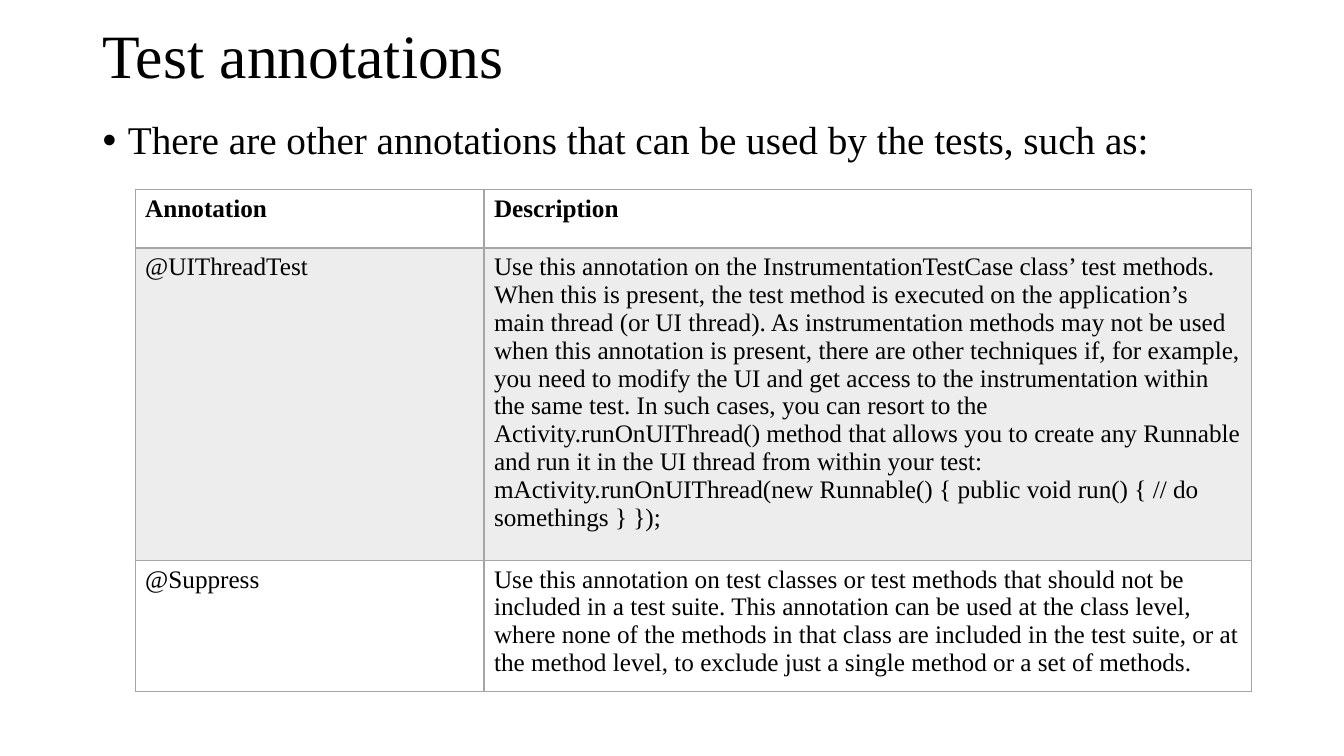
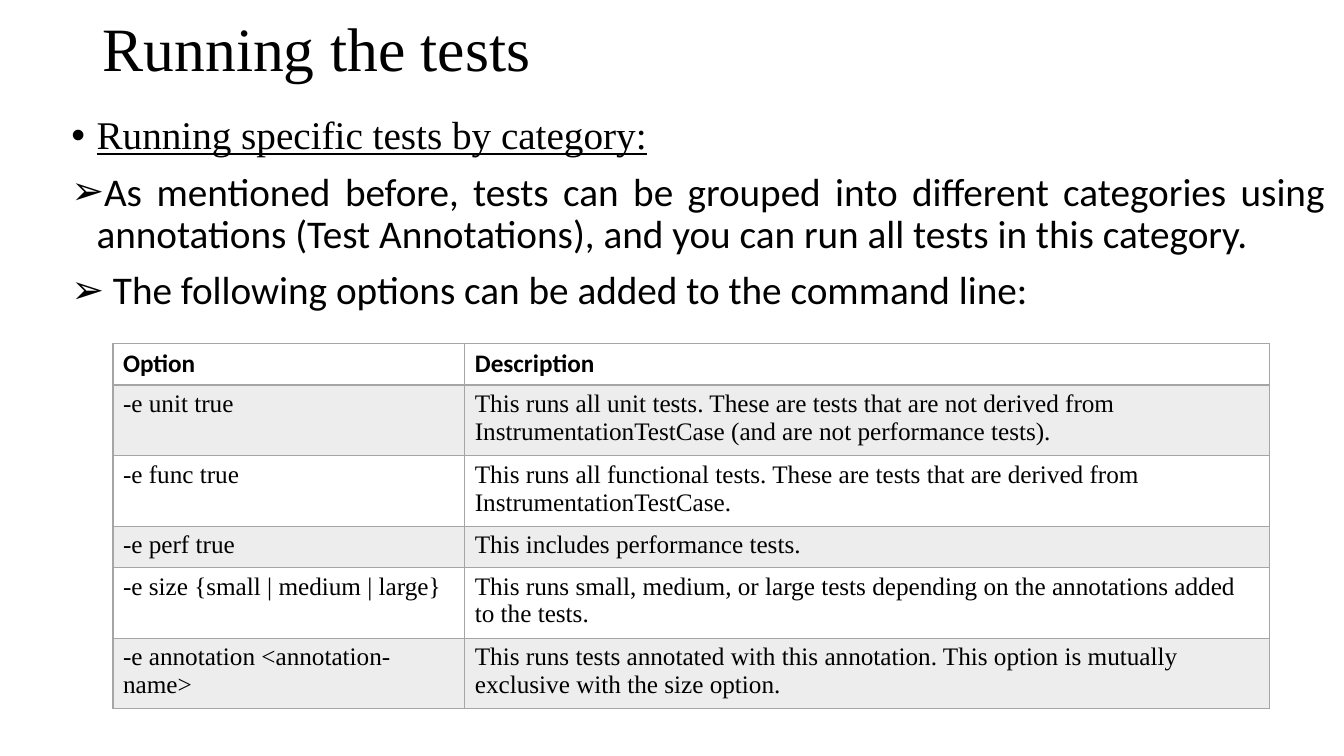
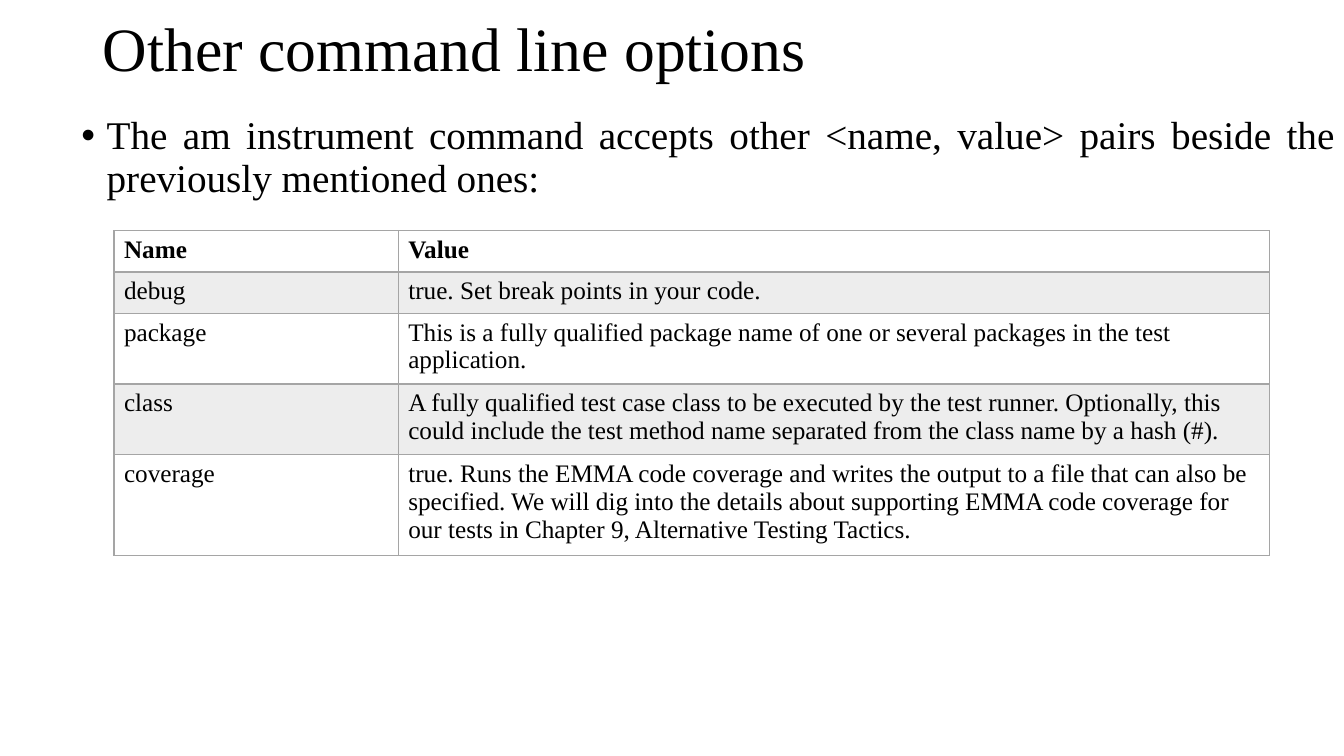
from dataclasses import dataclass

from lxml.etree import SubElement
from pptx import Presentation
from pptx.dml.color import RGBColor
from pptx.enum.text import MSO_ANCHOR, PP_ALIGN
from pptx.oxml.ns import qn
from pptx.util import Inches, Pt

COLORS = {"text": "000000", "border": "A5A5A5", "band": "EDEDED"}
SERIF = "Times New Roman"
SANS = "Calibri"
DOT = "•"
ARROW = "➢"


@dataclass
class Point:
    text: str
    bullet: str = DOT
    font: str = SERIF
    underline: bool = False


@dataclass
class Grid:
    left: float
    top: float
    columns: tuple[float, float]
    row_height: float
    rows: list[tuple[str, str]]
    header_font: str = SERIF


@dataclass
class Page:
    title: str
    title_top: float
    body: tuple[float, float, float, float]
    points: list[Point]
    grid: Grid


PAGES = [
    Page(
        "Test annotations", 0.1, (0.92, 1.15, 12.02, 6.02),
        [Point("There are other annotations that can be used by the tests, such as:")],
        Grid(1.34, 1.88, (3.46, 7.61), 0.58, [
            ("Annotation", "Description"),
            ("@UIThreadTest",
             "Use this annotation on the InstrumentationTestCase class’ test methods. "
             "When this is present, the test method is executed on the application’s main "
             "thread (or UI thread). As instrumentation methods may not be used when this "
             "annotation is present, there are other techniques if, for example, you need to "
             "modify the UI and get access to the instrumentation within the same test. In "
             "such cases, you can resort to the Activity.runOnUIThread() method that allows "
             "you to create any Runnable and run it in the UI thread from within your test: "
             "mActivity.runOnUIThread(new Runnable() { public void run() { "
             "// do somethings } });"),
            ("@Suppress",
             "Use this annotation on test classes or test methods that should not be included "
             "in a test suite. This annotation can be used at the class level, where none of "
             "the methods in that class are included in the test suite, or at the method "
             "level, to exclude just a single method or a set of methods."),
        ]),
    ),
    Page(
        "Running the tests", 0.03, (0.61, 1.1, 12.63, 6.4),
        [
            Point("Running specific tests by category:", underline=True),
            Point("As mentioned before, tests can be grouped into different categories using "
                  "annotations (Test Annotations), and you can run all tests in this category.",
                  ARROW, SANS),
            Point(" The following options can be added to the command line:", ARROW, SANS),
        ],
        Grid(1.12, 3.41, (3.49, 7.98), 0.41, [
            ("Option", "Description"),
            ("-e unit true",
             "This runs all unit tests. These are tests that are not derived from "
             "InstrumentationTestCase (and are not performance tests)."),
            ("-e func true",
             "This runs all functional tests. These are tests that are derived from "
             "InstrumentationTestCase."),
            ("-e perf true", "This includes performance tests."),
            ("-e size {small | medium | large}",
             "This runs small, medium, or large tests depending on the annotations added to "
             "the tests."),
            ("-e annotation <annotation-name>",
             "This runs tests annotated with this annotation. This option is mutually "
             "exclusive with the size option."),
        ], SANS),
    ),
    Page(
        "Other command line options", 0.03, (0.71, 1.1, 12.63, 6.4),
        [Point("The am instrument command accepts other <name, value> pairs beside the "
               "previously mentioned ones:")],
        Grid(1.13, 2.29, (2.82, 8.64), 0.41, [
            ("Name", "Value"),
            ("debug", "true. Set break points in your code."),
            ("package",
             "This is a fully qualified package name of one or several packages in the test "
             "application."),
            ("class",
             "A fully qualified test case class to be executed by the test runner. Optionally, "
             "this could include the test method name separated from the class name by a "
             "hash (#)."),
            ("coverage",
             "true. Runs the EMMA code coverage and writes the output to a file that can also "
             "be specified. We will dig into the details about supporting EMMA code coverage "
             "for our tests in Chapter 9, Alternative Testing Tactics."),
        ]),
    ),
]


# Text
def write(paragraph, text: str, *, size: float, font: str = SERIF,
          bold: bool = False, underline: bool = False) -> None:
    run = paragraph.add_run()
    run.text = text
    run.font.size = Pt(size)
    run.font.name = font
    run.font.bold = bold
    run.font.underline = underline
    run.font.color.rgb = RGBColor.from_string(COLORS["text"])


def add_frame(slide, left: float, top: float, width: float, height: float):
    frame = slide.shapes.add_textbox(
        Inches(left), Inches(top), Inches(width), Inches(height)).text_frame
    frame.word_wrap = True
    return frame


def add_title(slide, title: str, top: float) -> None:
    frame = add_frame(slide, 0.92, top, 11.5, 0.97)
    frame.vertical_anchor = MSO_ANCHOR.MIDDLE
    heading = frame.paragraphs[0]
    heading.line_spacing = 0.9
    write(heading, title, size=44)


def set_bullet(paragraph, bullet: str) -> None:
    properties = paragraph._p.get_or_add_pPr()
    properties.set("marL", str(Inches(0.25)))
    properties.set("indent", str(Inches(-0.25)))
    SubElement(properties, qn("a:buFont"), typeface="Arial")
    SubElement(properties, qn("a:buChar"), char=bullet)


def add_points(slide, box: tuple[float, float, float, float], points: list[Point]) -> None:
    frame = add_frame(slide, *box)
    for index, point in enumerate(points):
        paragraph = frame.add_paragraph() if index else frame.paragraphs[0]
        paragraph.alignment = PP_ALIGN.JUSTIFY
        paragraph.line_spacing = 0.9
        paragraph.space_before = Pt(10)
        set_bullet(paragraph, point.bullet)
        write(paragraph, point.text, size=28, font=point.font, underline=point.underline)


# Table
def set_borders(cell, top: float, bottom: float) -> None:
    properties = cell._tc.get_or_add_tcPr()
    for side, width in (("L", 1), ("R", 1), ("T", top), ("B", bottom)):
        line = SubElement(properties, qn(f"a:ln{side}"), w=str(Pt(width)))
        fill = SubElement(line, qn("a:solidFill"))
        SubElement(fill, qn("a:srgbClr"), val=COLORS["border"])


def add_grid(slide, grid: Grid) -> None:
    table = slide.shapes.add_table(
        len(grid.rows), len(grid.columns), Inches(grid.left), Inches(grid.top),
        Inches(sum(grid.columns)), Inches(grid.row_height * len(grid.rows))).table
    table.first_row = table.horz_banding = False
    for column, width in zip(table.columns, grid.columns):
        column.width = Inches(width)
    for row_index, texts in enumerate(grid.rows):
        is_header = row_index == 0
        table.rows[row_index].height = Inches(grid.row_height)
        for column_index, text in enumerate(texts):
            cell = table.cell(row_index, column_index)
            write(cell.text_frame.paragraphs[0], text, size=18, bold=is_header,
                  font=grid.header_font if is_header else SERIF)
            # The rule under the header is heavier than the others
            set_borders(cell, top=2 if row_index == 1 else 1, bottom=2 if is_header else 1)
            if row_index % 2:
                cell.fill.solid()
                cell.fill.fore_color.rgb = RGBColor.from_string(COLORS["band"])
            else:
                cell.fill.background()


# Slides
def main() -> None:
    deck = Presentation()
    deck.slide_width, deck.slide_height = Inches(13.33), Inches(7.5)
    for page in PAGES:
        slide = deck.slides.add_slide(deck.slide_layouts[6])
        add_title(slide, page.title, page.title_top)
        add_points(slide, page.body, page.points)
        add_grid(slide, page.grid)
    deck.save("out.pptx")


if __name__ == "__main__":
    main()
